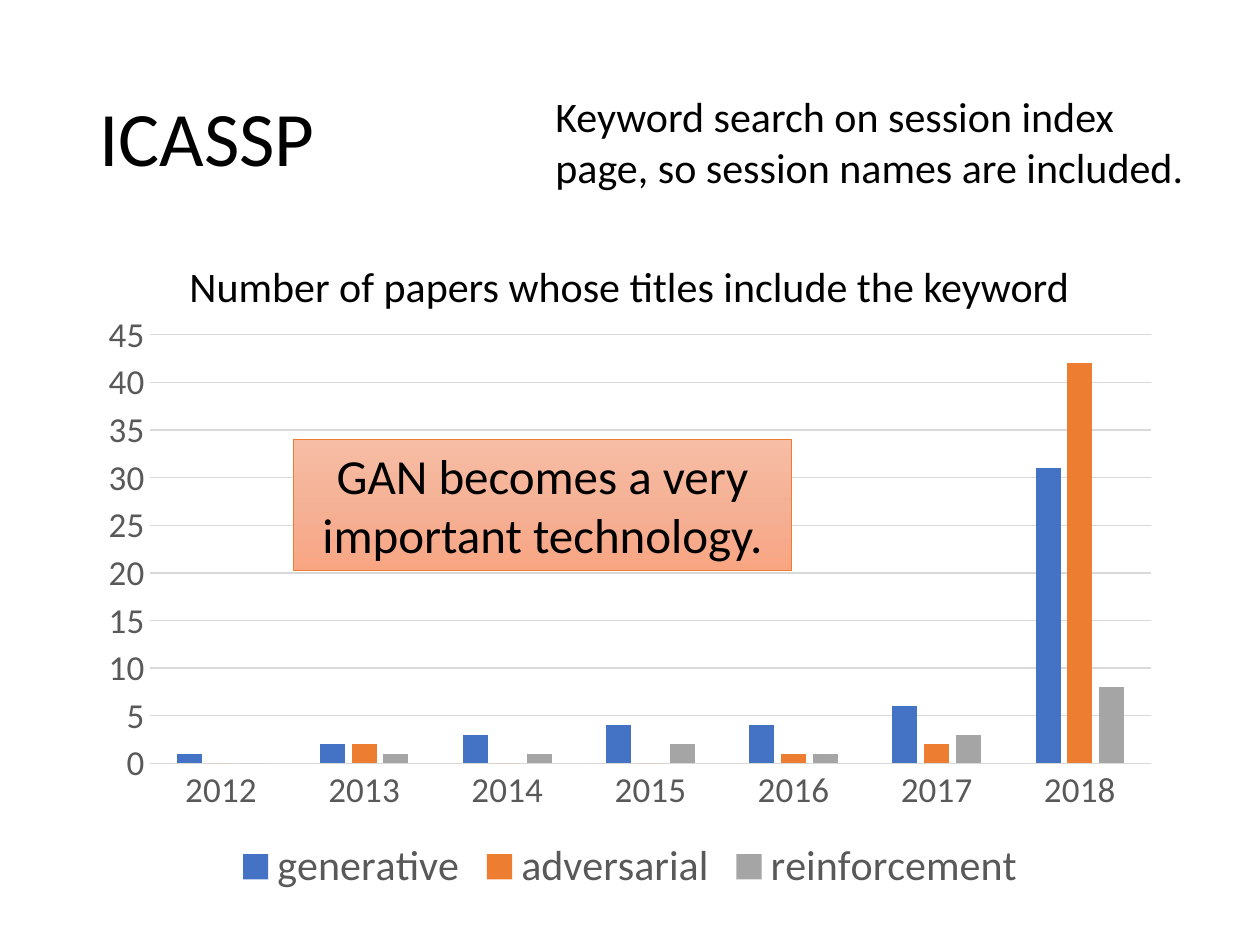
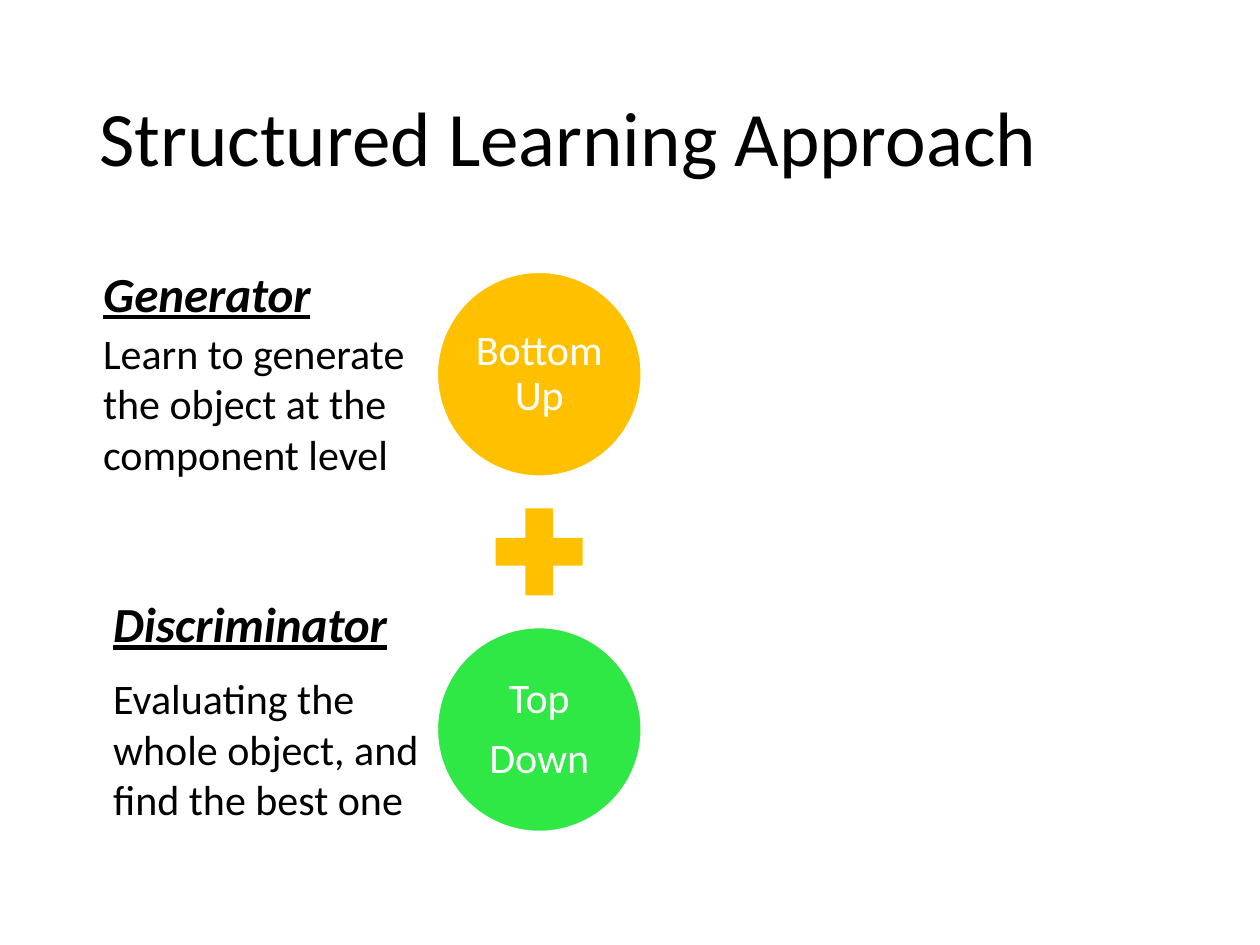
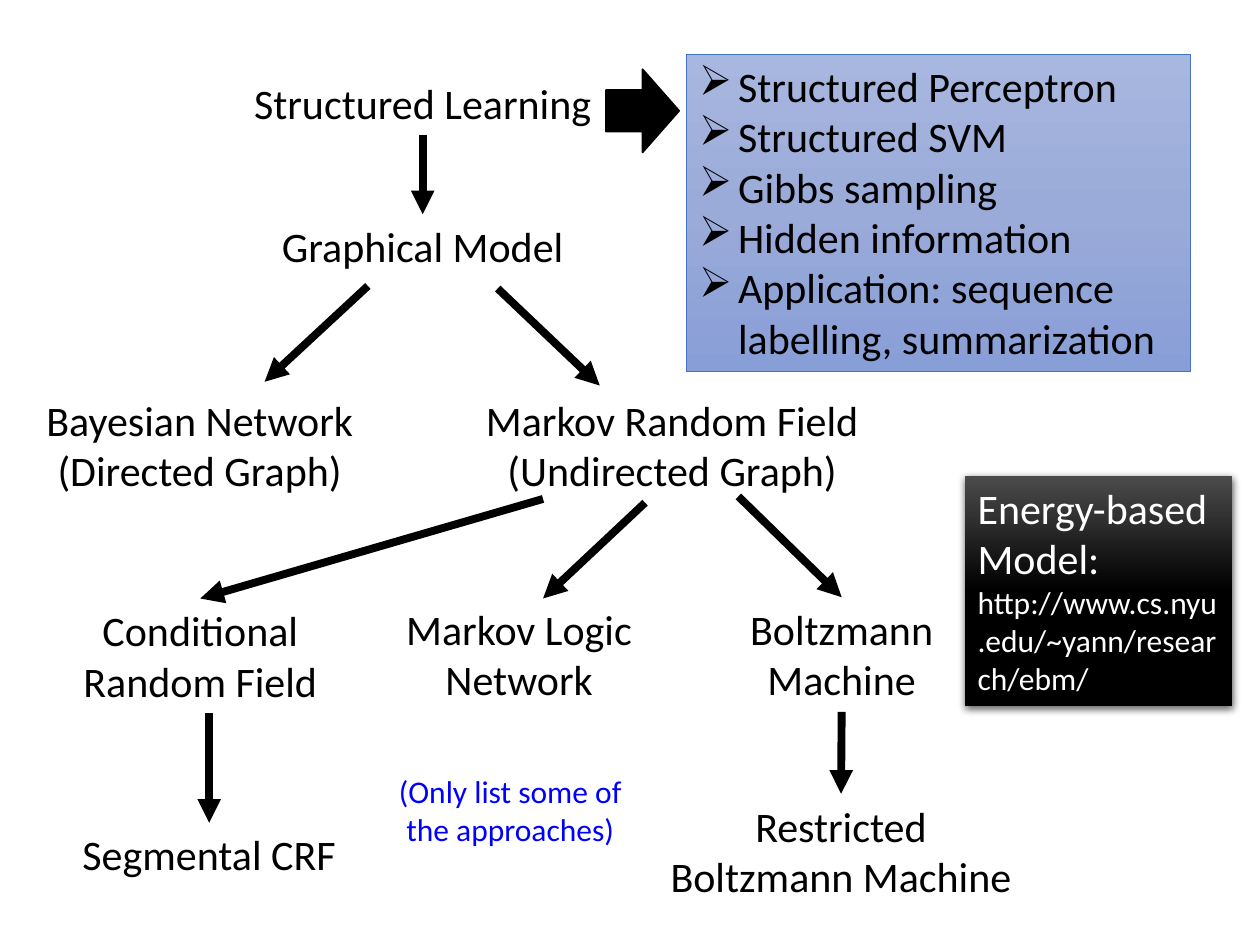
from copy import deepcopy

from lxml.etree import SubElement
from pptx import Presentation
from pptx.chart.data import CategoryChartData
from pptx.dml.color import RGBColor
from pptx.enum.chart import XL_CHART_TYPE as CHART, XL_LEGEND_POSITION as LEGEND, XL_TICK_MARK as TICK
from pptx.enum.shapes import MSO_CONNECTOR as CONNECTOR, MSO_SHAPE as SHAPE
from pptx.enum.text import MSO_ANCHOR as ANCHOR, PP_ALIGN as ALIGN
from pptx.oxml.ns import qn
from pptx.util import Inches, Pt

FONT = "Calibri"
COLORS = {
    "black": "000000", "white": "FFFFFF", "note": "0000FF",
    "axis_text": "595959", "grid": "D9D9D9",
    "blue": "4472C4", "orange": "ED7D31", "gray": "A5A5A5",
    "gold": "FFC000", "green": "30E845",
    "peach_top": "F7BDA5", "peach_mid": "F5B196", "peach_end": "F8A582",
    "sky_top": "A8B7DF", "sky_mid": "9AABD9", "sky_end": "889ED7",
    "charcoal": "4B4B4B",
}
TITLE_BOX = (0.69, 0.4, 8.62, 1.45)
BOTTOM, TOP = 2, 0


def rgb(name):
    return RGBColor.from_string(COLORS[name])


def inches(values):
    return [Inches(value) for value in values]


def style_font(font, size, color):
    font.name, font.size = FONT, Pt(size)
    font.color.rgb = rgb(color)


# Text: each paragraph is a string or a list of (string, size) runs
def write(holder, paragraphs, size=24, color="black", align=ALIGN.LEFT, anchor=ANCHOR.TOP,
          emphasis=False, spacing=None, after=None, inset=None, bullet=None):
    frame = holder.text_frame
    frame.word_wrap = True
    frame.vertical_anchor = anchor
    if inset is not None:
        frame.margin_left = frame.margin_right = Inches(inset)
        frame.margin_top = frame.margin_bottom = Inches(inset)
    for index, content in enumerate(paragraphs):
        paragraph = frame.add_paragraph() if index else frame.paragraphs[0]
        paragraph.alignment = align
        if spacing:
            paragraph.line_spacing = spacing
        if after:
            paragraph.space_after = Pt(after)
        if bullet:
            properties = paragraph._p.get_or_add_pPr()
            properties.set("marL", str(Inches(0.31)))
            properties.set("indent", str(Inches(-0.31)))
            SubElement(properties, qn("a:buChar")).set("char", bullet)
        for text, run_size in [(content, size)] if isinstance(content, str) else content:
            run = paragraph.add_run()
            run.text = text
            style_font(run.font, run_size, color)
            if emphasis:
                run.font.bold = run.font.italic = run.font.underline = True
    return holder


def add_text(slide, box, *paragraphs, **text_format):
    return write(slide.shapes.add_textbox(*inches(box)), paragraphs, **text_format)


def add_title(slide, title):
    add_text(slide, TITLE_BOX, title, size=44, anchor=ANCHOR.MIDDLE, spacing=0.9)


def add_shape(slide, kind, box, fill=None, line=None, width=1):
    shape = slide.shapes.add_shape(kind, *inches(box))
    shape.shadow.inherit = False
    if fill:
        shape.fill.solid()
        shape.fill.fore_color.rgb = rgb(fill)
    if line:
        shape.line.color.rgb = rgb(line)
        shape.line.width = Pt(width)
    else:
        shape.line.fill.background()
    return shape


def add_gradient_panel(slide, box, colors, line=None):
    panel = add_shape(slide, SHAPE.RECTANGLE, box, line=line, width=0.5)
    panel.fill.gradient()
    panel.fill.gradient_angle = 270
    stop_list = panel._element.spPr.find(".//" + qn("a:gsLst"))
    stop_list.append(deepcopy(stop_list[-1]))
    for stop, position, color in zip(panel.fill.gradient_stops, (0, 0.5, 1), colors):
        stop.position = position
        stop.color.rgb = rgb(color)
    return panel


def drop_shadow(shape):
    effects = shape._element.spPr.find(qn("a:effectLst"))
    shadow = SubElement(effects, qn("a:outerShdw"), blurRad=str(Pt(4.5)), dist=str(Pt(1.5)),
                        dir="5400000", algn="ctr", rotWithShape="0")
    tint = SubElement(shadow, qn("a:srgbClr"), val=COLORS["black"])
    SubElement(tint, qn("a:alpha"), val="63000")


# An arrow runs between points, or the facing sides of two nodes
def add_arrow(slide, start, end):
    points = [place if isinstance(place, tuple) else (0, 0) for place in (start, end)]
    arrow = slide.shapes.add_connector(CONNECTOR.STRAIGHT, *inches(points[0] + points[1]))
    if not isinstance(start, tuple):
        arrow.begin_connect(start, BOTTOM)
    if not isinstance(end, tuple):
        arrow.end_connect(end, TOP)
    arrow.line.color.rgb = rgb("black")
    arrow.line.width = Pt(4.5)
    SubElement(arrow.line._get_or_add_ln(), qn("a:tailEnd"), type="triangle")
    SubElement(arrow._element.spPr, qn("a:effectLst"))


# Keyword counts chart
def keyword_chart(slide, box):
    counts = CategoryChartData()
    counts.categories = [str(year) for year in range(2012, 2019)]
    keywords = [
        ("generative", (1, 2, 3, 4, 4, 6, 31), "blue"),
        ("adversarial", (0, 2, 0, 0, 1, 2, 42), "orange"),
        ("reinforcement", (0, 1, 1, 2, 1, 3, 8), "gray"),
    ]
    for keyword, values, _ in keywords:
        counts.add_series(keyword, values)
    chart = slide.shapes.add_chart(CHART.COLUMN_CLUSTERED, *inches(box), counts).chart
    chart.has_title = False
    style_font(chart.font, 10, "black")

    bars = chart.plots[0]
    bars.gap_width, bars.overlap, bars.vary_by_categories = 219, -27, False
    for series, (_, _, color) in zip(bars.series, keywords):
        series.format.fill.solid()
        series.format.fill.fore_color.rgb = rgb(color)

    years, papers = chart.category_axis, chart.value_axis
    for axis in (years, papers):
        axis.major_tick_mark = axis.minor_tick_mark = TICK.NONE
        style_font(axis.tick_labels.font, 20, "axis_text")
    papers.minimum_scale, papers.maximum_scale, papers.major_unit = 0, 45, 5
    papers.format.line.fill.background()
    papers.has_major_gridlines = True
    for line in (years.format.line, papers.major_gridlines.format.line):
        line.color.rgb = rgb("grid")
        line.width = Pt(0.75)

    chart.has_legend = True
    chart.legend.position = LEGEND.BOTTOM
    chart.legend.include_in_layout = False
    style_font(chart.legend.font, 24, "axis_text")


def conference_slide(slide):
    add_title(slide, "ICASSP")
    add_text(slide, (4.31, 0.67, 5.38, 0.91),
             "Keyword search on session index page, so session names are included.")
    add_text(slide, (0.94, 2.02, 8.11, 0.5),
             "Number of papers whose titles include the keyword", align=ALIGN.CENTER)
    keyword_chart(slide, (0.69, 2.39, 8.62, 4.76))
    conclusion = add_gradient_panel(slide, (2.33, 3.49, 3.95, 1.04),
                                    ("peach_top", "peach_mid", "peach_end"), "orange")
    write(conclusion, ["GAN becomes a very important technology."], size=28, align=ALIGN.CENTER)


# One approach: heading and description on the left, circle on the right
def approach(slide, box, heading, description, direction, color, circle_drop):
    left, top, width, height = box
    diameter, description_height = 1.62, 1.31
    circle = add_shape(slide, SHAPE.OVAL,
                       (left + width - diameter, top + circle_drop, diameter, diameter),
                       color, "white")
    write(circle, direction, color="white", align=ALIGN.CENTER, anchor=ANCHOR.MIDDLE,
          spacing=0.9, after=8.4, inset=0.03)
    add_text(slide, (left, top, 2.47, 0.57), heading, size=28, emphasis=True)
    add_text(slide, (left, top + height - description_height, width - 1.45, description_height),
             description)


def approach_slide(slide):
    add_title(slide, "Structured Learning Approach")
    approach(slide, (0.72, 2.04, 4.37, 1.82), "Generator",
             "Learn to generate the object at the component level", ["Bottom Up"], "gold", 0.12)
    add_shape(slide, SHAPE.MATH_PLUS, (3.81, 3.91, 0.94, 0.94), "gold")
    approach(slide, (0.8, 4.66, 4.29, 1.94), "Discriminator",
             "Evaluating the whole object, and find the best one", ["Top", "Down"], "green", 0.32)


# Tree of models
def model_tree(slide, box):
    left, top = box[:2]

    def node(x, y, width, *lines):
        height = 0.5 if lines[0] in one_line else 0.91
        return add_text(slide, (left + x, top + y, width, height), *lines, align=ALIGN.CENTER)

    def point(x, y):
        return left + x, top + y

    one_line = ("Structured Learning", "Graphical Model", "Segmental CRF")
    learning = node(1.77, 0.57, 3.17, "Structured Learning")
    graphical = node(1.77, 1.7, 3.17, "Graphical Model")
    node(0, 3.08, 3.17, "Bayesian Network", "(Directed Graph)")
    node(3.75, 3.08, 3.17, "Markov Random Field", "(Undirected Graph)")
    conditional = node(0.26, 4.75, 2.66, "Conditional Random Field")
    node(2.79, 4.74, 2.66, "Markov Logic Network")
    boltzmann = node(5.35, 4.74, 2.66, "Boltzmann Machine")
    segmental = node(0.33, 6.53, 2.66, "Segmental CRF")
    restricted = node(5.14, 6.3, 3.07, "Restricted Boltzmann Machine")

    for start, end in [
        (learning, graphical),
        (point(2.92, 2.27), point(2.1, 3.03)),
        (point(3.95, 2.29), point(4.76, 3.06)),
        (point(4.31, 3.96), conditional),
        (point(5.12, 3.99), point(4.31, 4.75)),
        (point(5.86, 3.94), boltzmann),
        (point(1.66, 5.66), segmental),
        (boltzmann, restricted),
    ]:
        add_arrow(slide, start, end)


def model_slide(slide):
    model_tree(slide, (0, 0, 8.21, 7.21))
    add_text(slide, (2.95, 6.08, 2.2, 0.71), "(Only list some of the approaches)",
             size=18, color="note", align=ALIGN.CENTER)

    # Topics of structured learning
    add_shape(slide, SHAPE.RIGHT_ARROW, (4.81, 0.55, 0.58, 0.66), "black", "black")
    topics = add_gradient_panel(slide, (5.45, 0.43, 4, 2.52),
                                ("sky_top", "sky_mid", "sky_end"), "blue")
    write(topics, ["Structured Perceptron", "Structured SVM", "Gibbs sampling",
                   "Hidden information", "Application: sequence labelling, summarization"],
          bullet="➢")

    # Energy-based model reference
    energy = add_gradient_panel(slide, (7.66, 3.78, 2.12, 1.82), ("charcoal", "black", "black"))
    drop_shadow(energy)
    write(energy, [[("Energy-based Model: ", 24),
                    ("http://www.cs.nyu.edu/~yann/research/ebm/", 18)]], color="white")


def main():
    deck = Presentation()
    deck.slide_width, deck.slide_height = Inches(10), Inches(7.5)
    for build in (conference_slide, approach_slide, model_slide):
        build(deck.slides.add_slide(deck.slide_layouts[6]))
    deck.save("out.pptx")


if __name__ == "__main__":
    main()
